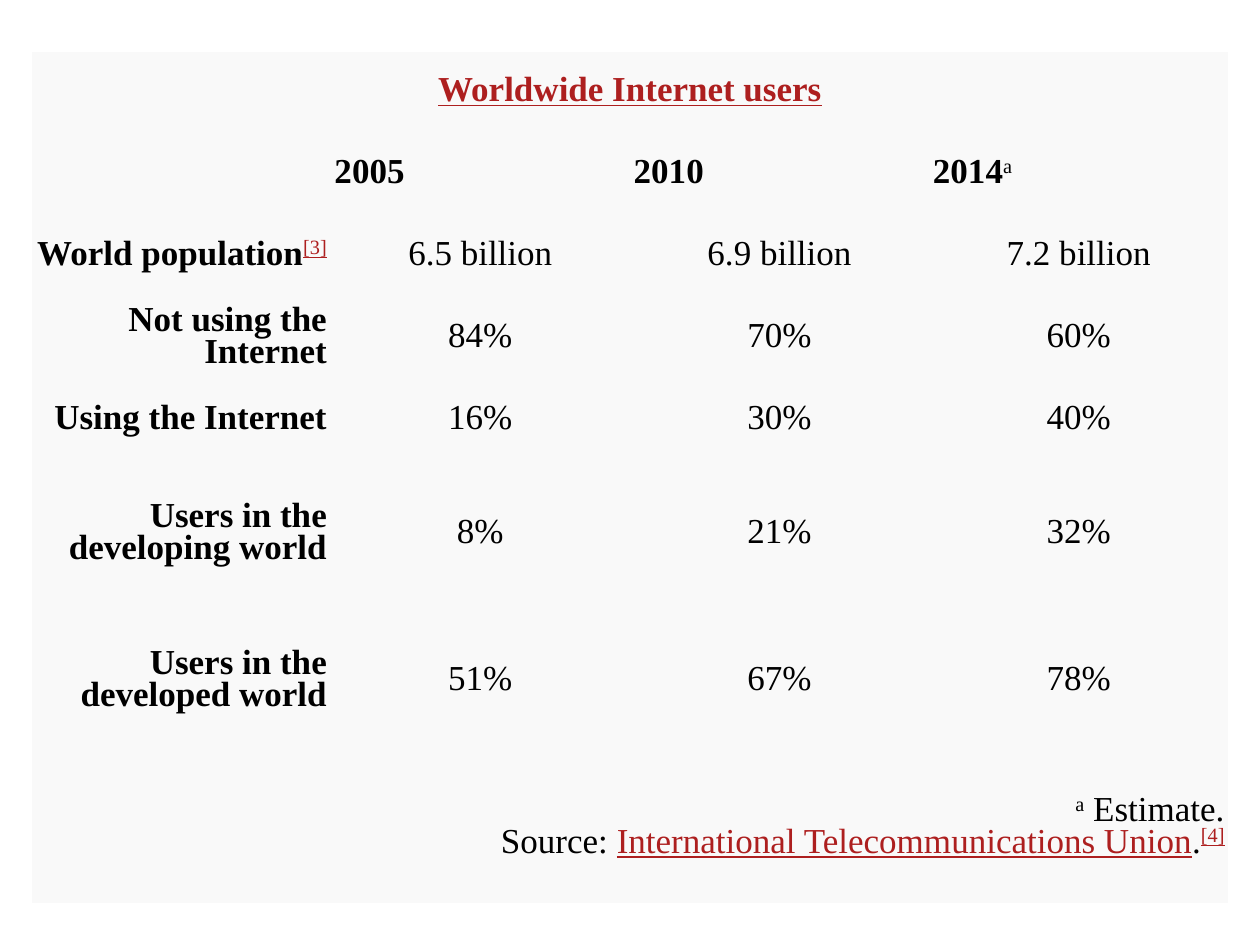
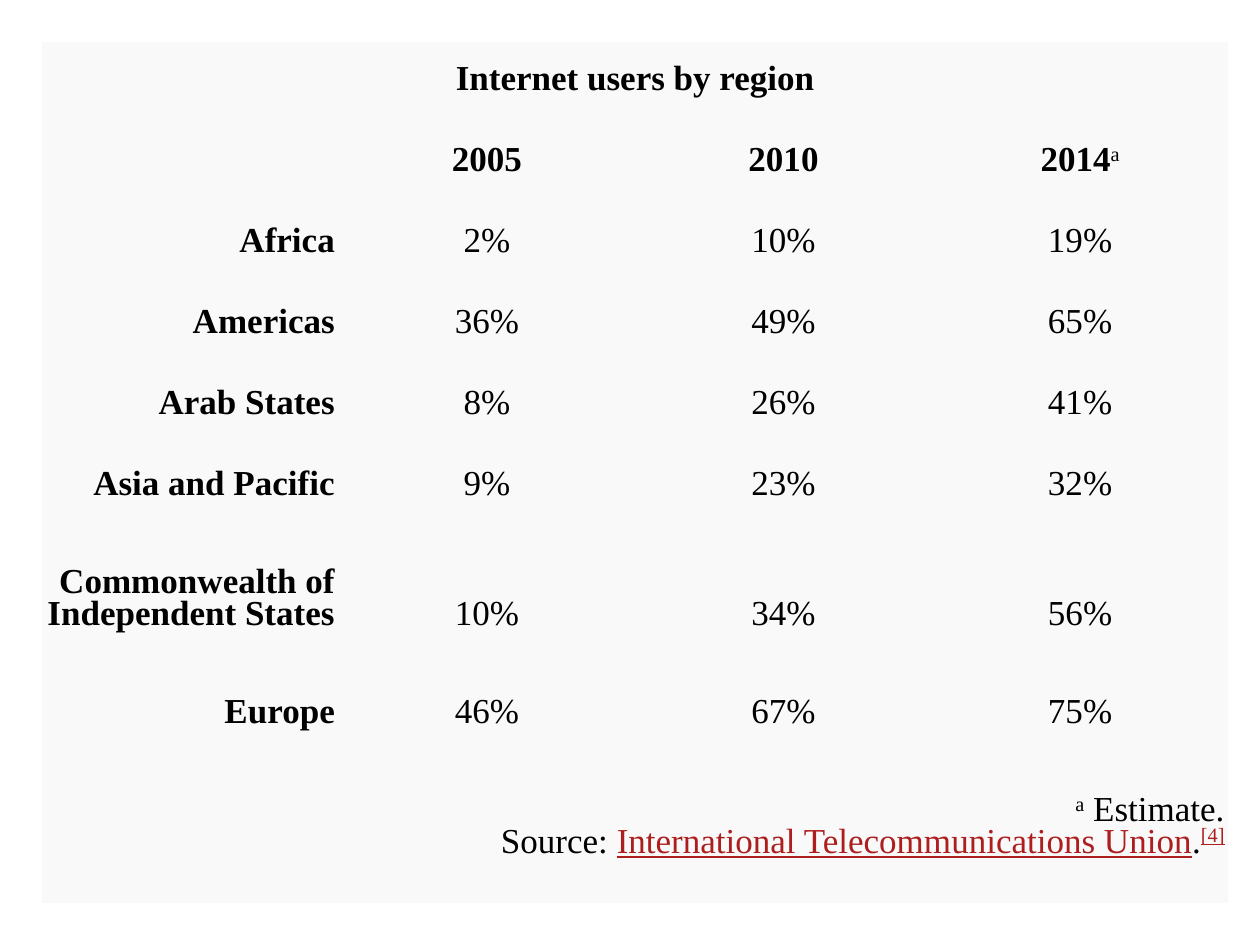
from dataclasses import dataclass

from pptx import Presentation
from pptx.dml.color import RGBColor
from pptx.enum.text import MSO_ANCHOR, PP_ALIGN
from pptx.util import Inches, Pt

LEFT, CENTER, RIGHT = PP_ALIGN.LEFT, PP_ALIGN.CENTER, PP_ALIGN.RIGHT
MIDDLE = MSO_ANCHOR.MIDDLE
GRID_COLUMNS, GRID_ROWS = 120, 90
TALL_ROW = 14  # grid rows
PLAIN_TABLE = "{2D5ABB26-0587-4C30-8999-92F81FD0307C}"


@dataclass(frozen=True)
class Theme:
    font: str = "Times New Roman"
    size: Pt = Pt(20)
    line: Pt = Pt(18)
    gap: Pt = Pt(6)
    inset: Inches = Inches(0.03)
    ink: RGBColor = RGBColor(0x00, 0x00, 0x00)
    link: RGBColor = RGBColor(0xAD, 0x1F, 0x1F)
    panel: RGBColor = RGBColor(0xF9, 0xF9, 0xF9)


@dataclass(frozen=True)
class Span:
    text: str
    bold: bool = False
    link: bool = False
    raised: bool = False


ESTIMATE_MARK = Span("a", raised=True)
YEARS = [[Span("2005", bold=True)], [Span("2010", bold=True)],
         [Span("2014", bold=True), ESTIMATE_MARK]]
SOURCE_NOTE = [
    ESTIMATE_MARK,
    Span(" Estimate.\nSource: "),
    Span("International Telecommunications Union", link=True),
    Span("."),
    Span("[4]", link=True, raised=True),
]

WORLD = [
    ([Span("World population", bold=True), Span("[3]", link=True, raised=True)],
     ["6.5 billion", "6.9 billion", "7.2 billion"]),
    ("Not using the Internet", ["84%", "70%", "60%"]),
    ("Using the Internet", ["16%", "30%", "40%"]),
    ("Users in the developing world", ["8%", "21%", "32%"]),
    ("Users in the developed world", ["51%", "67%", "78%"]),
]
REGIONS = [
    ("Africa", ["2%", "10%", "19%"]),
    ("Americas", ["36%", "49%", "65%"]),
    ("Arab States", ["8%", "26%", "41%"]),
    ("Asia and Pacific", ["9%", "23%", "32%"]),
    ("Commonwealth of\nIndependent States", ["10%", "34%", "56%"]),
    ("Europe", ["46%", "67%", "75%"]),
]


class Deck:
    def __init__(self, theme):
        self.theme = theme
        self.show = Presentation()
        self.show.slide_width, self.show.slide_height = Inches(10), Inches(7.5)
        self.slide = None

    def new_slide(self):
        self.slide = self.show.slides.add_slide(self.show.slide_layouts[6])

    def across(self, columns):
        return round(self.show.slide_width * columns / GRID_COLUMNS)

    def down(self, rows):
        return round(self.show.slide_height * rows / GRID_ROWS)

    def write_span(self, paragraph, span):
        for index, line in enumerate(span.text.split("\n")):
            if index:
                paragraph.add_line_break()
            run = paragraph.add_run()
            run.text = line
            font = run.font
            font.name, font.size, font.bold = self.theme.font, self.theme.size, span.bold
            font.color.rgb = self.theme.link if span.link else self.theme.ink
            font.underline = span.link
            if span.raised:
                run._r.get_or_add_rPr().set("baseline", "30000")

    def fill_cell(self, cell, spans, align, lowered=False):
        """Write spans in the cell; lowered moves them to the second line of two."""
        theme = self.theme
        cell.vertical_anchor = MIDDLE
        cell.margin_left = cell.margin_right = cell.margin_bottom = theme.inset
        cell.margin_top = theme.inset + (theme.line if lowered else 0)
        paragraph = cell.text_frame.paragraphs[0]
        paragraph.alignment = align
        paragraph.line_spacing = theme.line
        paragraph.space_before = paragraph.space_after = theme.gap
        for span in spans:
            self.write_span(paragraph, span)

    def empty_table(self, box, row_count, tall_rows):
        """Plain panel-coloured table; short rows share what the tall ones leave."""
        left, top, width, height = box
        column_count = len(YEARS) + 1
        table = self.slide.shapes.add_table(
            row_count, column_count, self.across(left), self.down(top),
            self.across(width), self.down(height)).table
        table.first_row = table.horz_banding = False
        table._tbl.tblPr[0].text = PLAIN_TABLE
        short_row = (height - TALL_ROW * len(tall_rows)) / (row_count - len(tall_rows))
        for index, row in enumerate(table.rows):
            row.height = self.down(TALL_ROW if index in tall_rows else short_row)
        for column in table.columns:
            column.width = self.across(width / column_count)
        for cell in table.iter_cells():
            cell.fill.solid()
            cell.fill.fore_color.rgb = self.theme.panel
        return table

    def statistics_table(self, box, title, year_align, records, tall_rows):
        last = len(records) + 2
        table = self.empty_table(box, last + 1, tall_rows)
        for row, spans, align in ((0, [title], CENTER), (last, SOURCE_NOTE, RIGHT)):
            table.cell(row, 0).merge(table.cell(row, len(YEARS)))
            self.fill_cell(table.cell(row, 0), spans, align)
        for column, year in enumerate(YEARS, 1):
            self.fill_cell(table.cell(1, column), year, year_align)
        for row, (label, values) in enumerate(records, 2):
            two_lines = "\n" in label
            spans = [Span(label, bold=True)] if isinstance(label, str) else label
            self.fill_cell(table.cell(row, 0), spans, RIGHT)
            for column, value in enumerate(values, 1):
                self.fill_cell(table.cell(row, column), [Span(value)], CENTER, two_lines)


def main():
    deck = Deck(Theme())
    deck.new_slide()
    deck.statistics_table((3, 5, 114, 81),
                          Span("Worldwide Internet users", bold=True, link=True),
                          LEFT, WORLD, tall_rows=(5, 6, 7))
    deck.new_slide()
    deck.statistics_table((4, 4, 113, 82),
                          Span("Internet users by region", bold=True),
                          CENTER, REGIONS, tall_rows=(6, 8))
    deck.show.save("out.pptx")


if __name__ == "__main__":
    main()
